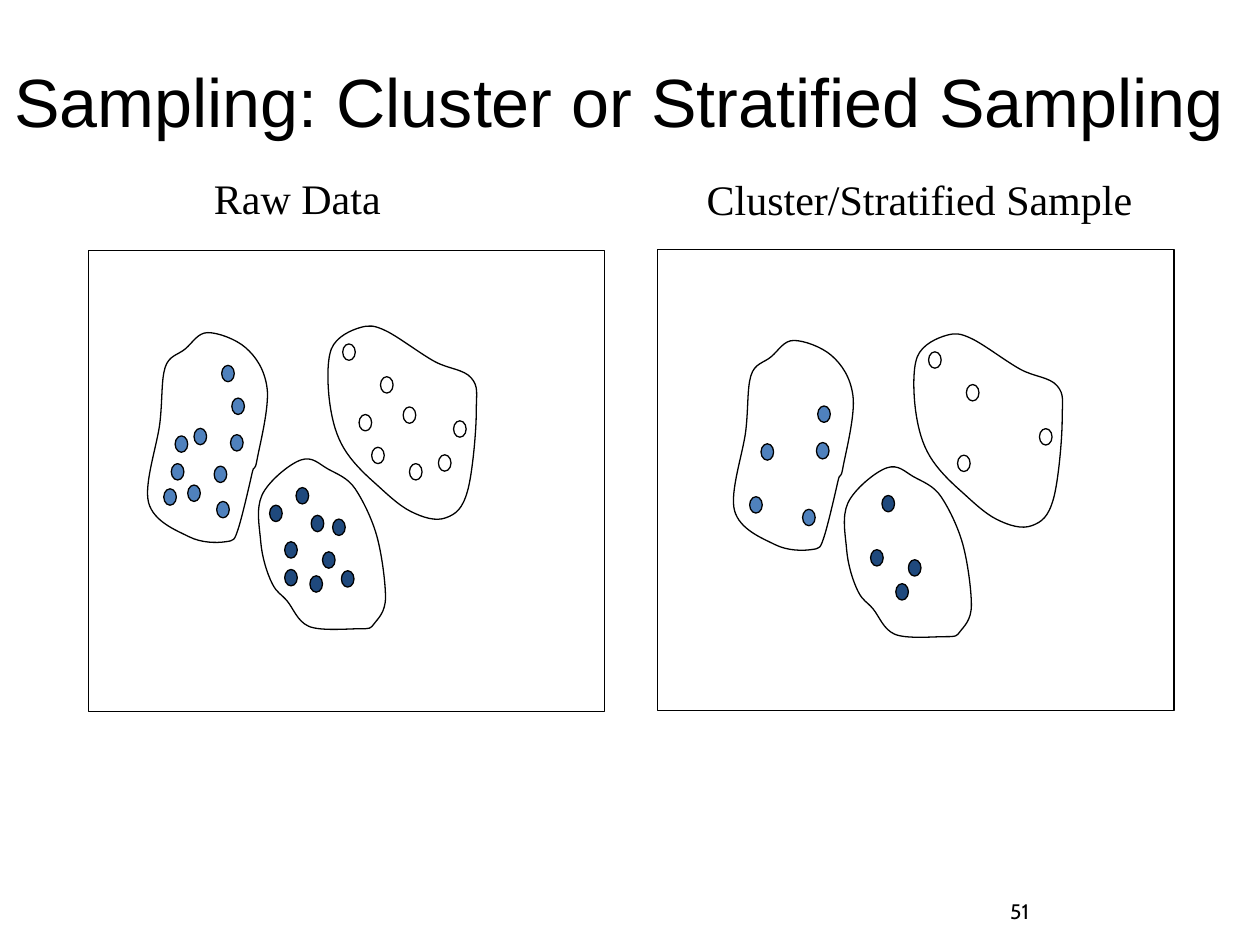
from pptx import Presentation
from pptx import util as u
from pptx.dml.color import RGBColor
from pptx.enum import shapes, text
from pptx.oxml import ns
from lxml import etree

BLACK = RGBColor(0x00, 0x00, 0x00)
WHITE = RGBColor(0xFF, 0xFF, 0xFF)
LIGHT_BLUE = RGBColor(0x4F, 0x81, 0xBD)
NAVY = RGBColor(0x1F, 0x49, 0x7D)

UNIT = 0.72
DOT_WIDTH, DOT_HEIGHT = 7.2, 9.36

CLUSTERS = [
    {
        "color": WHITE,
        "sampled": 4,
        "dots": [(302, 299), (295, 355), (360, 334), (272, 273),
                 (320, 323), (285, 329), (348, 361), (325, 368)],
        "outline": [(374, 300), (378, 327), (371, 390), (354, 411), (326, 406), (297, 383),
                    (273, 356), (262, 322), (263, 277), (286, 260), (307, 263), (345, 287)],
    },
    {
        "color": NAVY,
        "sampled": 4,
        "dots": [(246, 457), (256, 438), (226, 430), (235, 387), (214, 401),
                 (264, 412), (226, 452), (247, 409), (271, 453)],
        "outline": [(228, 477), (216, 463), (207, 430), (208, 393), (239, 365), (260, 372),
                    (282, 388), (299, 425), (306, 474), (297, 495), (285, 499), (245, 497)],
    },
    {
        "color": LIGHT_BLUE,
        "sampled": 5,
        "dots": [(130, 388), (139, 346), (172, 398), (183, 345), (184, 316),
                 (149, 385), (136, 368), (170, 370), (154, 340), (176, 290)],
        "outline": [(200, 376), (189, 420), (179, 430), (150, 426), (118, 399), (127, 335),
                    (131, 292), (147, 277), (165, 264), (195, 276), (212, 308), (204, 365)],
    },
]


def style_shape(shape, fill=None):
    shape.shadow.inherit = False
    if fill is None:
        shape.fill.background()
    else:
        shape.fill.solid()
        shape.fill.fore_color.rgb = fill
    shape.line.color.rgb = BLACK
    shape.line.width = u.Pt(0.75)


def add_text(paragraph, words, font, size):
    run = paragraph.add_run()
    run.text = words
    run.font.name = font
    run.font.size = u.Pt(size)
    run.font.color.rgb = BLACK


presentation = Presentation()
presentation.slide_width = u.Pt(720)
presentation.slide_height = u.Pt(540)
slide = presentation.slides.add_slide(presentation.slide_layouts[5])

title = slide.shapes.title
title.left, title.top, title.width, title.height = u.Pt(0), u.Pt(28.8), u.Pt(707.8), u.Pt(63.4)
title.text_frame.vertical_anchor = text.MSO_ANCHOR.MIDDLE
title.text_frame.auto_size = text.MSO_AUTO_SIZE.NONE
paragraph = title.text_frame.paragraphs[0]
paragraph.alignment = text.PP_ALIGN.CENTER
paragraph.line_spacing = 0.9
add_text(paragraph, "Sampling: Cluster or Stratified Sampling", "Arial", 39)

for left, top, shift_x, shift_y, is_sample in [
    (50.4, 143.3, 0, 0, False),
    (375.8, 142.6, 334.8, 4.5, True),
]:
    panel = slide.shapes.add_group_shape()
    frame = panel.shapes.add_shape(
        shapes.MSO_SHAPE.RECTANGLE, u.Pt(left), u.Pt(top), u.Pt(295.2), u.Pt(263.5))
    style_shape(frame)
    for cluster in CLUSTERS:
        count = cluster["sampled"] if is_sample else len(cluster["dots"])
        for x, y in cluster["dots"][:count]:
            dot = panel.shapes.add_shape(
                shapes.MSO_SHAPE.FLOWCHART_CONNECTOR,
                u.Pt(x * UNIT + shift_x), u.Pt(y * UNIT + shift_y),
                u.Pt(DOT_WIDTH), u.Pt(DOT_HEIGHT))
            style_shape(dot, cluster["color"])

        anchors = cluster["outline"]
        curve_points = []
        for index, start in enumerate(anchors):
            before = anchors[index - 1]
            end, after = (anchors[(index + step) % len(anchors)] for step in (1, 2))
            curve_points += [
                [s + (e - b) / 6 for s, e, b in zip(start, end, before)],
                [e - (a - s) / 6 for s, e, a in zip(start, end, after)],
                end,
            ]
        builder = panel.shapes.build_freeform(*anchors[0], scale=u.Pt(UNIT))
        builder.add_line_segments(curve_points, close=True)
        outline = builder.convert_to_shape(u.Pt(shift_x), u.Pt(shift_y))
        style_shape(outline)
        segments = list(outline._element.iter(ns.qn("a:lnTo")))
        for first in range(0, len(curve_points), 3):
            curve = etree.Element(ns.qn("a:cubicBezTo"))
            segments[first].addprevious(curve)
            for segment in segments[first:first + 3]:
                curve.append(segment[0])
        for segment in segments:
            segment.getparent().remove(segment)

for words, font, size, left, top, width, height, wrap in [
    ("Raw Data", "Times New Roman", 24, 115.2, 95, 115.2, 36, False),
    ("Cluster/Stratified Sample", "Times New Roman", 24, 396.7, 95.8, 257.8, 36, False),
    ("51", "Cabin", 12, 570.2, 509.8, 149.8, 30.2, True),
]:
    label = slide.shapes.add_textbox(u.Pt(left), u.Pt(top), u.Pt(width), u.Pt(height))
    label.text_frame.word_wrap = wrap
    add_text(label.text_frame.paragraphs[0], words, font, size)

presentation.save("out.pptx")
